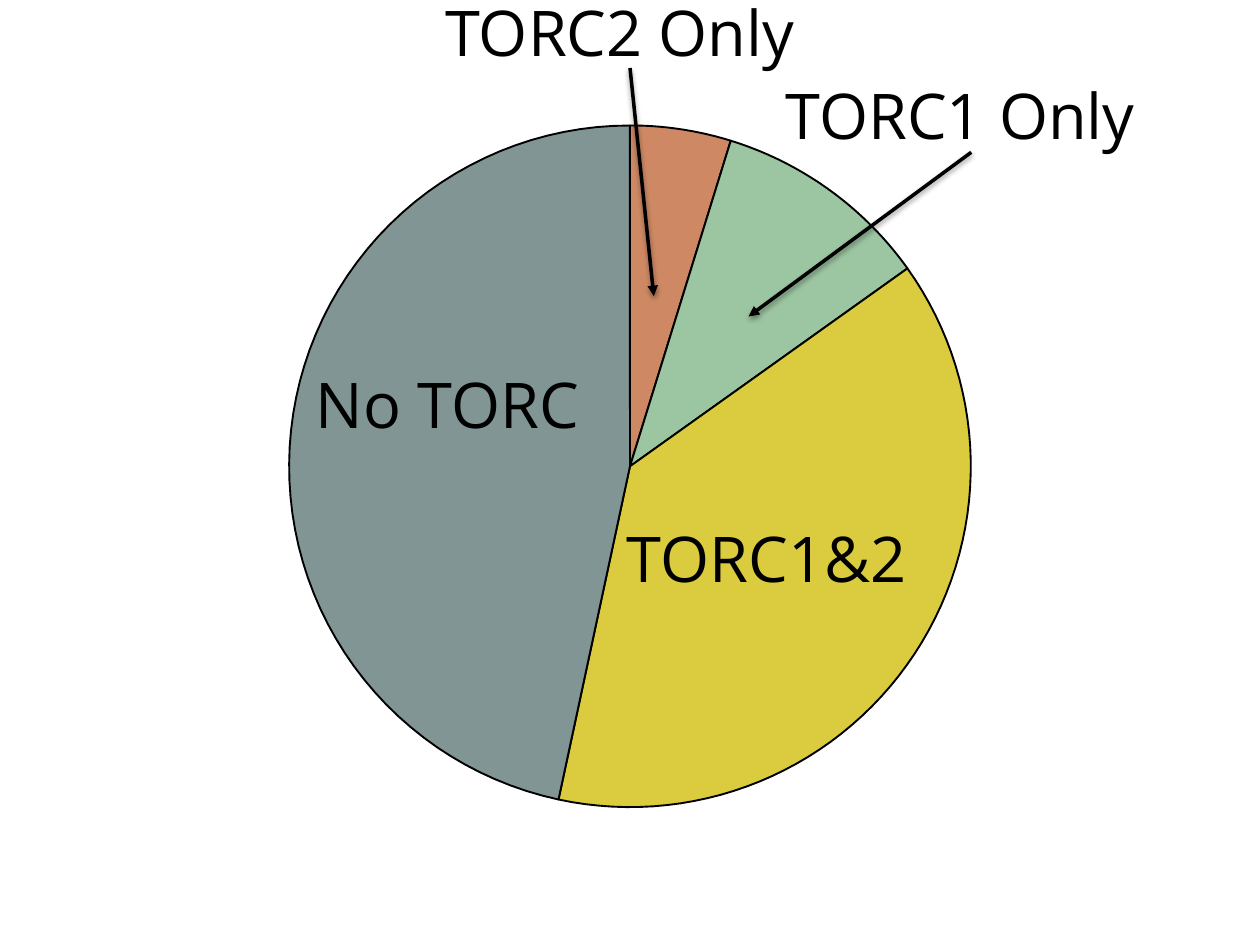
"""Build a slide with a four-slice pie of TORC groups, its labels and two pointers."""
from dataclasses import dataclass
from math import cos, radians, sin

from lxml import etree
from pptx import Presentation
from pptx.dml.color import RGBColor as RGB
from pptx.enum.shapes import MSO_CONNECTOR as Connector
from pptx.enum.text import MSO_ANCHOR as Anchor
from pptx.oxml import parse_xml
from pptx.oxml.ns import nsdecls, qn
from pptx.util import Cm, Pt


@dataclass(frozen=True)
class Theme:
    ink: str = "000000"
    torc2: str = "CE8964"
    torc1: str = "9CC5A1"
    both: str = "DACC3E"
    none: str = "819595"
    font: str = "Open Sans"
    size: float = 36
    spacing: float = 17.1
    outline: float = 1.07
    arrow: float = 2


theme = Theme()


def add_label(shapes, text, left, top, width, height, size=theme.size, color=theme.ink):
    tb = shapes.add_textbox(Cm(left), Cm(top), Cm(width), Cm(height))
    tf = tb.text_frame
    tf.margin_left = tf.margin_right = tf.margin_top = tf.margin_bottom = 0
    tf.word_wrap = False
    tf.vertical_anchor = Anchor.MIDDLE
    p = tf.paragraphs[0]
    p.line_spacing = Pt(theme.spacing)
    r = p.add_run()
    r.text = text
    r.font.name = theme.font
    r.font.size = Pt(size)
    r.font.color.rgb = RGB.from_string(color)


prs = Presentation()
prs.slide_width, prs.slide_height = Cm(25.4), Cm(19.05)
s = prs.slides.add_slide(prs.slide_layouts[6])
pie = s.shapes.add_group_shape().shapes

center_x, center_y, radius = 12.7, 9.4, 6.87
arc_steps = 60
slices = [
    (0, 17.2, theme.torc2),
    (17.2, 54.5, theme.torc1),
    (54.5, 192.1, theme.both),
    (192.1, 360, theme.none),
]
for start, end, color in slices:
    angles = [radians(start + (end - start) * i / arc_steps) for i in range(arc_steps + 1)]
    arc = [(Cm(center_x + radius * sin(a)), Cm(center_y - radius * cos(a))) for a in angles]
    builder = pie.build_freeform(Cm(center_x), Cm(center_y))
    builder.add_line_segments(arc, close=True)
    sp = builder.convert_to_shape()
    sp.shadow.inherit = False
    sp.fill.solid()
    sp.fill.fore_color.rgb = RGB.from_string(color)
    sp.line.color.rgb = RGB.from_string(theme.ink)
    sp.line.width = Pt(theme.outline)

labels = [
    ("TORC2 Only", 8.98, 0.81, 7.1, 0.56),
    ("TORC1 Only", 15.84, 2.49, 7.1, 0.56),
    ("TORC1&2", 12.64, 9.93, 5.7, 3.53),
    ("No TORC", 6.37, 8.36, 5.5, 0.46),
]
for text, *box in labels:
    add_label(s.shapes, text, *box)

pointers = [(12.7, 1.37, 13.18, 5.97), (19.58, 3.07, 15.09, 6.38)]
for ends in pointers:
    arrow = s.shapes.add_connector(Connector.STRAIGHT, *map(Cm, ends))
    arrow.line.color.rgb = RGB.from_string(theme.ink)
    arrow.line.width = Pt(theme.arrow)
    etree.SubElement(arrow.line._get_or_add_ln(), qn("a:tailEnd"), type="triangle")
    arrow._element.spPr.append(parse_xml(
        f'<a:effectLst {nsdecls("a")}>'
        f'<a:outerShdw blurRad="{Pt(3.1)}" dist="{Pt(1.6)}" dir="5400000" rotWithShape="0">'
        f'<a:srgbClr val="{theme.ink}"><a:alpha val="38000"/></a:srgbClr>'
        '</a:outerShdw></a:effectLst>'))

prs.save("out.pptx")
